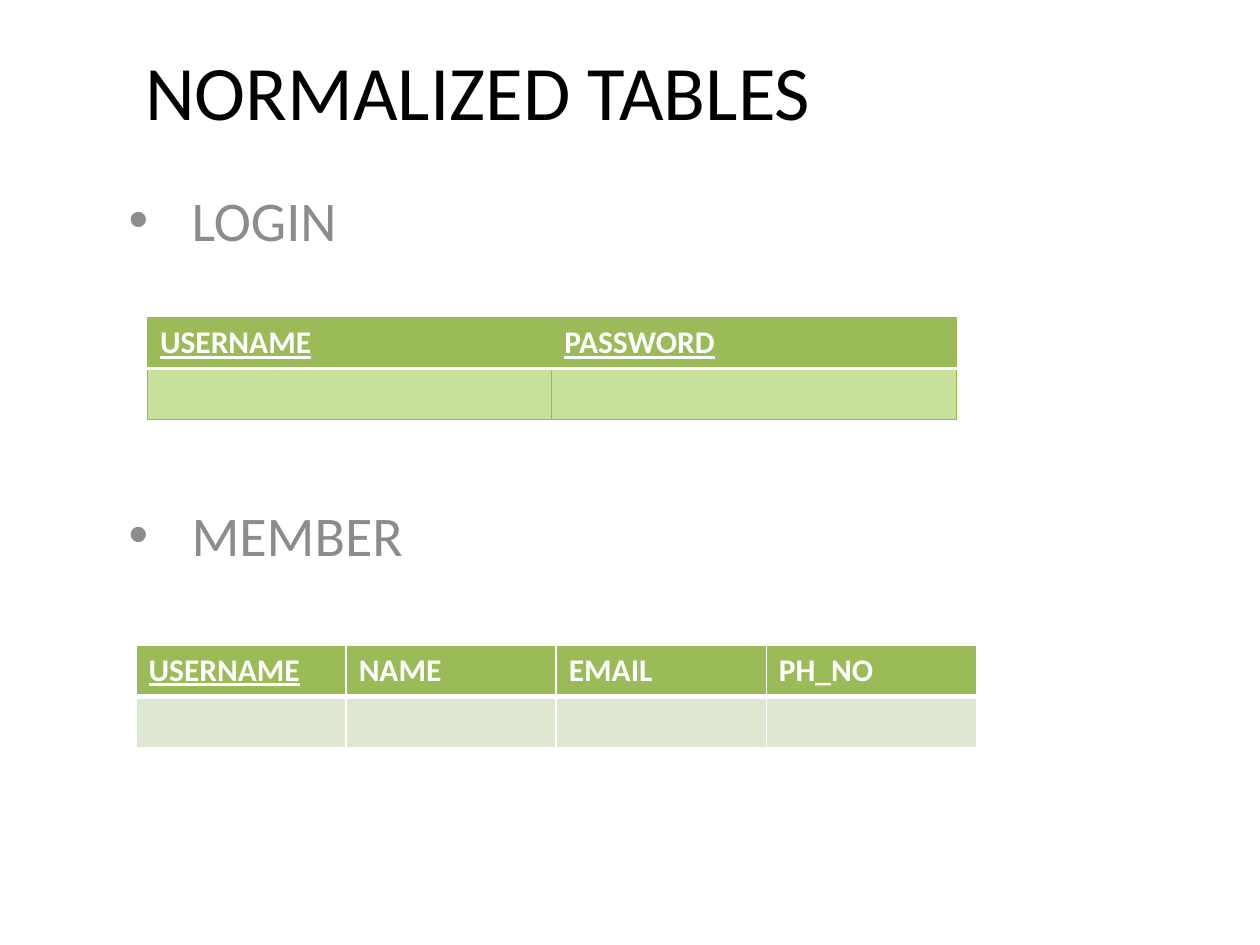
from lxml.etree import SubElement
from pptx import Presentation
from pptx.dml.color import RGBColor
from pptx.enum.text import MSO_ANCHOR, MSO_AUTO_SIZE, PP_ALIGN
from pptx.oxml.ns import qn
from pptx.util import Inches, Pt

FONT = "Calibri"
COLORS = {
    "title": "000000",
    "bullet": "8C8C8C",
    "header": "9BBB59",
    "header_text": "FFFFFF",
    "login_row": "C7E19A",
    "login_border": "98B955",
    "member_row": "DEE7D1",
    "white": "FFFFFF",
}
ROW_HEIGHT = 0.405


def color(name):
    return RGBColor.from_string(COLORS[name])


def style_span(span, size, color_name, bold=False, underline=False):
    span.font.name = FONT
    span.font.size = Pt(size)
    span.font.bold = bold
    span.font.underline = underline
    span.font.color.rgb = color(color_name)


def fill_placeholder(box, text, place, size, color_name, anchor):
    box.left, box.top, box.width, box.height = map(Inches, place)
    frame = box.text_frame
    frame.text = text
    frame.word_wrap = True
    frame.auto_size = MSO_AUTO_SIZE.NONE
    frame.vertical_anchor = anchor
    para = frame.paragraphs[0]
    style_span(para.runs[0], size, color_name)
    return para


def add_title(box, text):
    para = fill_placeholder(box, text, (0.42, 0.17, 6.75, 1.08), 44,
                            "title", MSO_ANCHOR.MIDDLE)
    para.alignment = PP_ALIGN.CENTER


def add_bullet(box, text, top):
    para = fill_placeholder(box, text, (0.92, top, 5.83, 0.67), 32,
                            "bullet", MSO_ANCHOR.TOP)
    properties = para._p.get_or_add_pPr()
    properties.set("marL", str(Inches(0.5)))
    properties.set("indent", str(-Inches(0.5)))
    SubElement(properties, qn("a:buFont")).set("typeface", "Arial")
    SubElement(properties, qn("a:buChar")).set("char", "•")


def set_borders(cell, borders):
    properties = cell._tc.get_or_add_tcPr()
    for side in "LRTB":
        color_name, width = borders[side]
        line = SubElement(properties, qn(f"a:ln{side}"), w=str(Pt(width)))
        solid = SubElement(line, qn("a:solidFill"))
        SubElement(solid, qn("a:srgbClr"), val=COLORS[color_name])


def add_schema_table(page, place, names, keys, row_color, border, rule):
    left, top, width = place
    frame = page.shapes.add_table(2, len(names), Inches(left), Inches(top),
                                  Inches(width), Inches(2 * ROW_HEIGHT))
    table = frame.table
    for column, name in enumerate(names):
        header, body = table.cell(0, column), table.cell(1, column)
        edges = dict.fromkeys("LRTB", border)
        set_borders(header, {**edges, "B": rule})
        set_borders(body, {**edges, "T": rule})
        for cell, fill in ((header, "header"), (body, row_color)):
            cell.fill.solid()
            cell.fill.fore_color.rgb = color(fill)
        header.text_frame.text = name
        style_span(header.text_frame.paragraphs[0].runs[0], 18,
                   "header_text", bold=True, underline=name in keys)


def main():
    deck = Presentation()
    deck.slide_width, deck.slide_height = Inches(10), Inches(7.5)
    page = deck.slides.add_slide(deck.slide_layouts.get_by_name("Two Content"))
    title, login, member = list(page.placeholders)[:3]
    for spare in list(page.placeholders)[3:]:
        spare.element.getparent().remove(spare.element)

    add_title(title, "NORMALIZED TABLES")
    add_bullet(login, "LOGIN", 1.42)
    add_bullet(member, "MEMBER", 3.92)
    add_schema_table(page, (1.17, 2.52, 6.42), ["USERNAME", "PASSWORD"],
                     {"USERNAME", "PASSWORD"}, "login_row",
                     ("login_border", 0.75), ("white", 2))
    add_schema_table(page, (1.08, 5.12, 6.67),
                     ["USERNAME", "NAME", "EMAIL", "PH_NO"], {"USERNAME"},
                     "member_row", ("white", 1), ("white", 3))
    deck.save("out.pptx")


if __name__ == "__main__":
    main()
